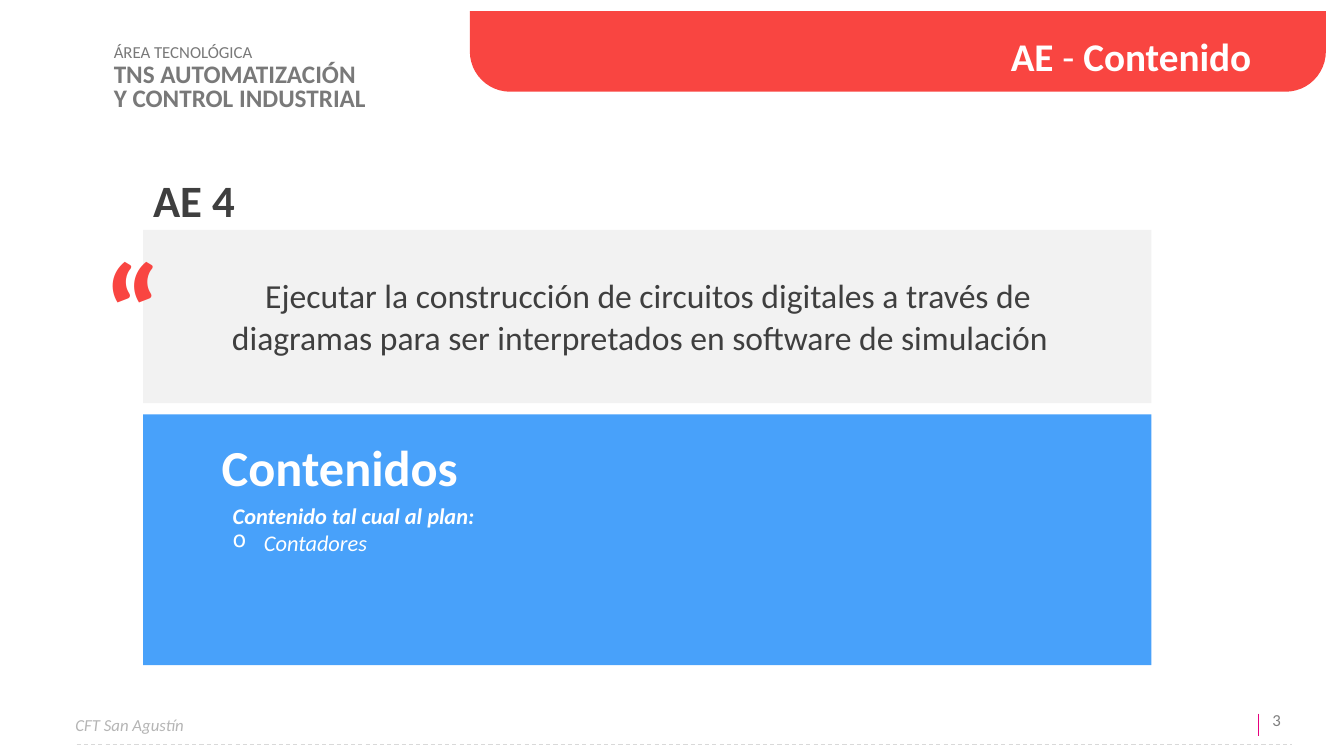
from lxml import etree
from pptx import Presentation
from pptx.dml.color import RGBColor
from pptx.enum.dml import MSO_LINE
from pptx.enum.shapes import MSO_CONNECTOR, MSO_SHAPE
from pptx.enum.text import MSO_ANCHOR, PP_ALIGN
from pptx.oxml.ns import qn
from pptx.util import Inches, Pt

RECTANGLE, TAB = MSO_SHAPE.RECTANGLE, MSO_SHAPE.ROUND_2_SAME_RECTANGLE
TOP, MIDDLE = MSO_ANCHOR.TOP, MSO_ANCHOR.MIDDLE
CENTER, RIGHT = PP_ALIGN.CENTER, PP_ALIGN.RIGHT
COLORS = {
    "red": "F94541", "blue": "48A1FA", "panel": "F2F2F2", "white": "FFFFFF",
    "text": "3F3F3F", "area": "797979", "footer": "B5B5B5", "number": "7F7F7F",
    "magenta": "E6007E", "rule": "D9D9D9",
}


def rgb(name):
    return RGBColor.from_string(COLORS[name])


def write(box, lines, size, color, bold=None, italic=None):
    """Fill a box with one paragraph per line; a line is a list of runs."""
    frame = box.text_frame
    frame.word_wrap = True
    frame.vertical_anchor = TOP
    for index, spans in enumerate(lines):
        para = frame.paragraphs[0] if index == 0 else frame.add_paragraph()
        for text in spans:
            para.add_run().text = text
        font = para.font
        font.name, font.size, font.color.rgb = "Calibri", Pt(size), rgb(color)
        font.bold, font.italic = bold, italic
    return frame.paragraphs


deck = Presentation()
deck.slide_width, deck.slide_height = Inches(13.33), Inches(7.5)
page = deck.slides.add_slide(deck.slide_layouts[5])
shapes = page.shapes

# Lines: number mark and footer rule
for x1, y1, x2, y2, color, width, dash in [
    (12.48, 7.08, 12.48, 7.3, "magenta", 1, None),
    (0.76, 7.39, 12.81, 7.39, "rule", 0.75, MSO_LINE.DASH),
]:
    line = shapes.add_connector(MSO_CONNECTOR.STRAIGHT, Inches(x1), Inches(y1), Inches(x2), Inches(y2))
    line.line.color.rgb = rgb(color)
    line.line.width = Pt(width)
    line.line.dash_style = dash
    etree.SubElement(line.element.spPr, qn("a:effectLst"))

# Filled areas: title tab, contents panel, outcome panel
for kind, left, top, width, height, color in [
    (TAB, 4.66, 0.11, 8.49, 0.8, "red"),
    (RECTANGLE, 1.42, 4.11, 10, 2.49, "blue"),
    (RECTANGLE, 1.42, 2.28, 10, 1.72, "panel"),
]:
    area = shapes.add_shape(kind, Inches(left), Inches(top), Inches(width), Inches(height))
    area.shadow.inherit = False
    area.fill.solid()
    area.fill.fore_color.rgb = rgb(color)
    area.line.fill.background()
    if kind == TAB:
        area.rotation = 180
        area.adjustments[0] = 0.5

# Title, in front of its tab
title = shapes.title
title.left, title.top, title.width, title.height = Inches(5.11), Inches(0.27), Inches(7.4), Inches(0.4)
title_para = write(title, [["AE ", "-", " Contenido"]], 28, "white", bold=True)[0]
title_para.alignment = RIGHT
title_para.runs[1].font.bold = False
title.element.getparent().append(title.element)

# Text boxes
paras = {}
for name, left, top, width, height, lines, size, color, bold, italic in [
    ("area", 1.03, 0.4, 1.99, 0.27, [["ÁREA TECNOLÓGICA"]], 12, "area", None, None),
    ("footer", 0.65, 6.99, 4.5, 0.4, [["CFT San Agustín"]], 12, "footer", None, True),
    ("career", 1.03, 0.58, 3.42, 0.59,
     [["TNS AUTOMATIZACIÓN"], ["Y CONTROL INDUSTRIAL"]], 18, "area", True, None),
    ("number", 12.52, 6.99, 0.59, 0.4, [["3"]], 12, "number", None, None),
    ("heading", 2.1, 4.28, 3.85, 0.71, [["Contenidos"]], 36, "white", True, None),
    ("contents", 2.21, 4.93, 3.85, 0.91,
     [["Contenido tal cual al plan:"], ["Contadores"]], 16, "white", True, True),
    ("outcome", 2.11, 2.69, 8.55, 0.9,
     [[" ", "Ejecutar la construcción de circuitos digitales a través de diagramas "
       "para ser interpretados en software de simulación "]], 24, "text", None, None),
    ("quote", 0.93, 2.2, 1.44, 1.72, [["“"]], 96, "red", True, None),
    ("label", 1.42, 1.66, 3.85, 0.64, [["AE 4"]], 32, "text", True, None),
]:
    box = shapes.add_textbox(Inches(left), Inches(top), Inches(width), Inches(height))
    paras[name] = write(box, lines, size, color, bold, italic)
    if name == "footer":
        box.text_frame.vertical_anchor = MIDDLE

paras["area"][0].line_spacing = Pt(12)
for para in paras["career"]:
    para.line_spacing = 0.81

outcome = paras["outcome"][0]
outcome.alignment = CENTER
outcome.line_spacing = Pt(29)
outcome.runs[0].font.size = Pt(28)

bullet = paras["contents"][1]
bullet.font.bold = False
props = bullet._p.get_or_add_pPr()
props.set("marL", str(Inches(0.31)))
props.set("indent", str(-Inches(0.31)))
mark = etree.Element(qn("a:buChar"), char="o")
props.insert(0, mark)

deck.save("out.pptx")
